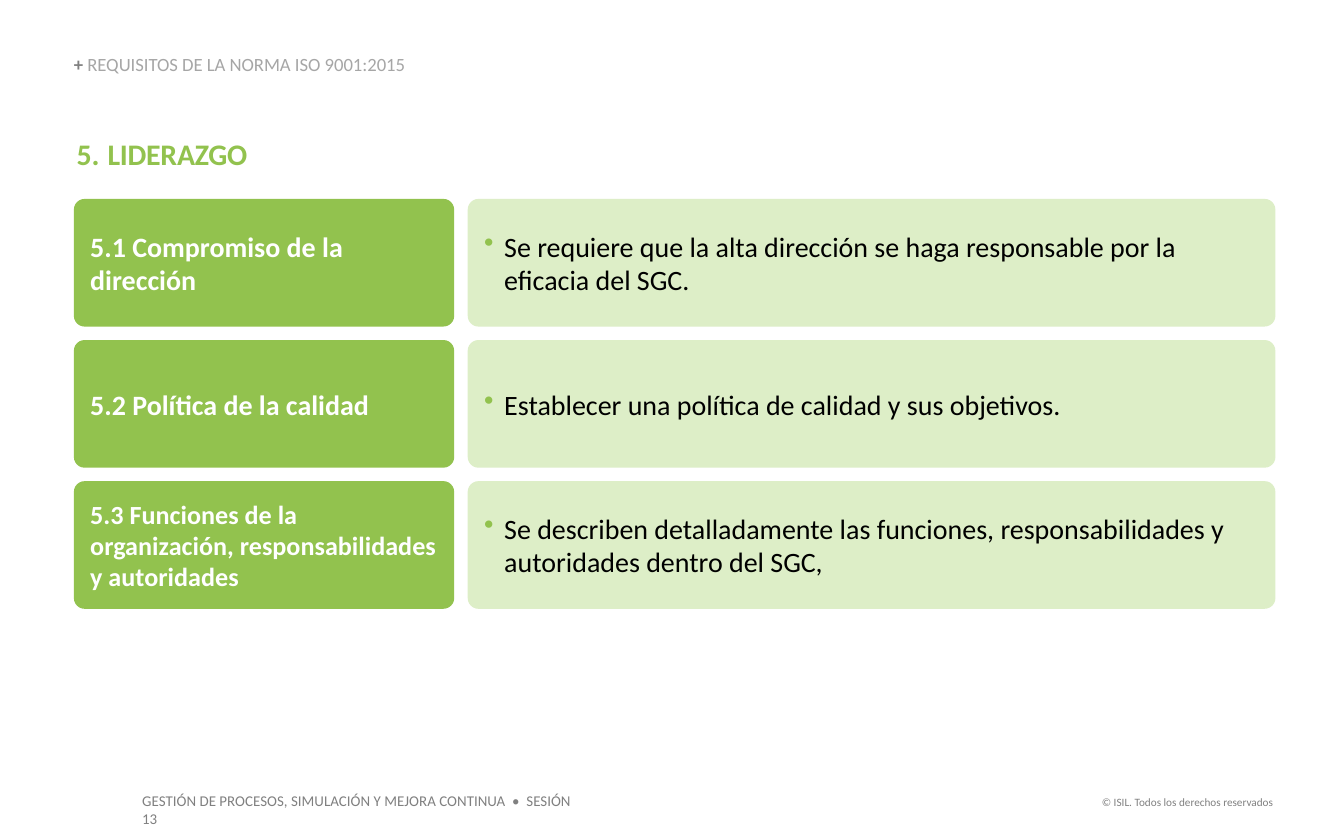
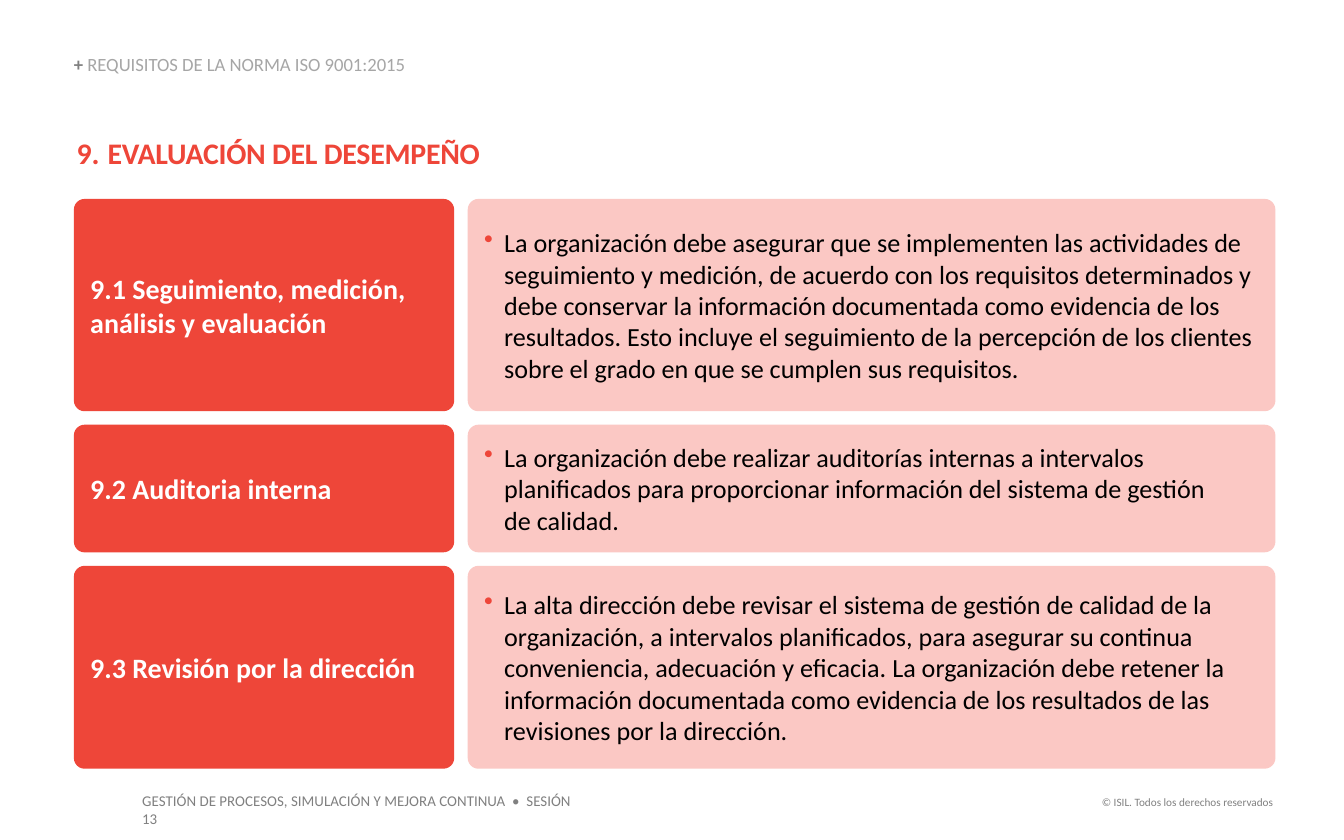
from lxml import etree
from pptx import Presentation
from pptx.dml.color import RGBColor
from pptx.enum.shapes import MSO_SHAPE
from pptx.enum.text import MSO_ANCHOR, MSO_AUTO_SIZE, PP_ALIGN
from pptx.oxml.ns import qn
from pptx.util import Inches, Pt

COLOURS = {
    "green": "92C24E",
    "pale_green": "DDEEC7",
    "red": "EE4639",
    "pale_red": "FBC8C4",
    "white": "FFFFFF",
    "black": "000000",
    "grey": "808080",
    "light_grey": "A6A6A6",
}
FONT = "Calibri"

# Shared grid, in inches
LEFT, TOP, GAP = 0.55, 1.48, 0.1
LABEL_WIDTH, DETAIL_WIDTH = 2.83, 6.01
CORNER_RADIUS = 0.08

HEADER = (("+ ", "grey", True), ("REQUISITOS DE LA NORMA ISO 9001:2015", "light_grey", False))
COURSE = "GESTIÓN DE PROCESOS, SIMULACIÓN Y MEJORA CONTINUA  •  SESIÓN 13"
RIGHTS = "© ISIL. Todos los derechos reservados"

# Each row: height, label, label size, detail
SECTIONS = [
    {
        "number": 5, "title": "LIDERAZGO", "title_top": 1.01,
        "strong": "green", "pale": "pale_green", "detail_size": 15,
        "rows": [
            (0.95, "5.1 Compromiso de la dirección", 15,
             "Se requiere que la alta dirección se haga responsable por la eficacia del SGC."),
            (0.95, "5.2 Política de la calidad", 15,
             "Establecer una política de calidad y sus objetivos."),
            (0.95, "5.3 Funciones de la organización, responsabilidades\ny autoridades", 14,
             "Se describen detalladamente las funciones, responsabilidades y "
             "autoridades dentro del SGC,"),
        ],
    },
    {
        "number": 9, "title": "EVALUACIÓN DEL DESEMPEÑO", "title_top": 1.0,
        "strong": "red", "pale": "pale_red", "detail_size": 14,
        "rows": [
            (1.58, "9.1 Seguimiento, medición, análisis y evaluación", 15,
             "La organización debe asegurar que se implementen las actividades de "
             "seguimiento y medición, de acuerdo con los requisitos determinados y debe "
             "conservar la información documentada como evidencia de los resultados. Esto "
             "incluye el seguimiento de la percepción de los clientes sobre el grado en que "
             "se cumplen sus requisitos."),
            (0.95, "9.2 Auditoria interna", 15,
             "La organización debe realizar auditorías internas a intervalos planificados "
             "para proporcionar información del sistema de gestión \vde calidad."),
            (1.51, "9.3 Revisión por la dirección", 15,
             "La alta dirección debe revisar el sistema de gestión de calidad de la "
             "organización, a intervalos planificados, para asegurar su continua "
             "conveniencia, adecuación y eficacia. La organización debe retener la "
             "información documentada como evidencia de los resultados de las revisiones "
             "por la dirección."),
        ],
    },
]


def set_all(target, **values):
    for name, value in values.items():
        setattr(target, name, value)


def style_span(span, size, colour, bold=False):
    set_all(span.font, name=FONT, size=Pt(size), bold=bold)
    span.font.color.rgb = RGBColor.from_string(COLOURS[colour])


def style_frame(frame, size, colour, bold=False, align=PP_ALIGN.LEFT):
    for para in frame.paragraphs:
        para.alignment = align
        for span in para.runs:
            style_span(span, size, colour, bold)


def remove_margins(frame):
    set_all(frame, margin_left=0, margin_top=0, margin_right=0, margin_bottom=0)


def set_indent(para, left, hanging):
    properties = para._p.get_or_add_pPr()
    properties.set("marL", str(Inches(left)))
    properties.set("indent", str(-Inches(hanging)))
    return properties


def add_bullet(para, colour):
    properties = set_indent(para, 0.15, 0.15)
    bullet_colour = etree.SubElement(properties, qn("a:buClr"))
    etree.SubElement(bullet_colour, qn("a:srgbClr"), val=COLOURS[colour])
    etree.SubElement(properties, qn("a:buChar"), char="•")


def add_number(para, start):
    properties = set_indent(para, 0.24, 0.23)
    etree.SubElement(properties, qn("a:buAutoNum"), type="arabicPeriod", startAt=str(start))
    tabs = etree.SubElement(properties, qn("a:tabLst"))
    etree.SubElement(tabs, qn("a:tab"), pos=str(Inches(0.13)), algn="l")


def add_text(page, left, top, width, height):
    box = page.shapes.add_textbox(Inches(left), Inches(top), Inches(width), Inches(height))
    box.text_frame.word_wrap = True
    return box.text_frame


def add_header(page):
    frame = add_text(page, LEFT, 0.41, 4.65, 0.15)
    remove_margins(frame)
    frame.vertical_anchor = MSO_ANCHOR.BOTTOM
    para = frame.paragraphs[0]
    para.line_spacing = 0.9
    for text, colour, bold in HEADER:
        span = para.add_run()
        span.text = text
        style_span(span, 10, colour, bold)


def add_footer(page):
    rights = add_text(page, 8.07, 5.87, 1.5, 0.2)
    rights.text = RIGHTS
    style_frame(rights, 6, "grey", align=PP_ALIGN.RIGHT)
    course = add_text(page, 0.96, 5.84, 3.53, 0.24)
    course.text = COURSE
    style_frame(course, 8, "grey")


def set_title(page, section):
    title = page.shapes.title
    set_all(title, left=Inches(0.56), top=Inches(section["title_top"]),
            width=Inches(8.93), height=Inches(0.27))
    frame = title.text_frame
    frame.text = section["title"]
    remove_margins(frame)
    set_all(frame, word_wrap=True, auto_size=MSO_AUTO_SIZE.NONE,
            vertical_anchor=MSO_ANCHOR.TOP)
    para = frame.paragraphs[0]
    add_number(para, section["number"])
    style_frame(frame, 16, section["strong"], bold=True)
    para.runs[0].font._element.set("spc", "-10")


def add_card(page, left, top, width, height, fill, text):
    card = page.shapes.add_shape(MSO_SHAPE.ROUNDED_RECTANGLE, Inches(left), Inches(top),
                                 Inches(width), Inches(height))
    card.adjustments[0] = CORNER_RADIUS / height
    card.shadow.inherit = False
    card.fill.solid()
    card.fill.fore_color.rgb = RGBColor.from_string(COLOURS[fill])
    card.line.fill.background()
    frame = card.text_frame
    set_all(frame, text=text, word_wrap=True, vertical_anchor=MSO_ANCHOR.MIDDLE)
    return frame


def add_rows(page, section):
    top = TOP
    for height, label, label_size, detail in section["rows"]:
        # Requirement label
        frame = add_card(page, LEFT, top, LABEL_WIDTH, height, section["strong"], label)
        style_frame(frame, label_size, "white", bold=True)
        # Bulleted detail
        frame = add_card(page, LEFT + LABEL_WIDTH + GAP, top, DETAIL_WIDTH, height,
                         section["pale"], detail)
        add_bullet(frame.paragraphs[0], section["strong"])
        style_frame(frame, section["detail_size"], "black")
        top += height + GAP


def main():
    deck = Presentation()
    set_all(deck, slide_width=Inches(10), slide_height=Inches(6.25))
    title_only = deck.slide_layouts[5]
    for section in SECTIONS:
        page = deck.slides.add_slide(title_only)
        add_footer(page)
        set_title(page, section)
        add_header(page)
        add_rows(page, section)
    deck.save("out.pptx")


if __name__ == "__main__":
    main()
